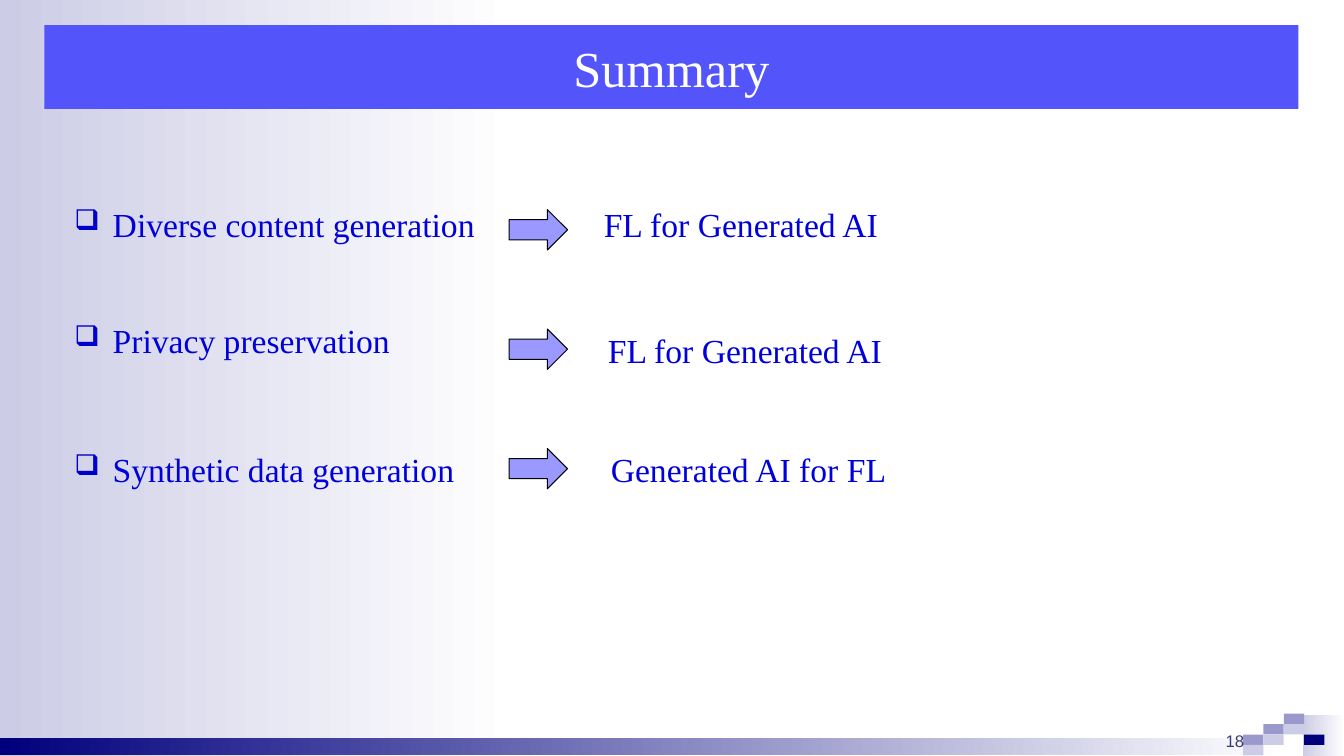
from lxml import etree
from pptx import Presentation
from pptx import util as u
from pptx.dml.color import RGBColor
from pptx.enum import shapes, text
from pptx.oxml.ns import qn

WHITE = RGBColor(0xFF, 0xFF, 0xFF)
BLACK = RGBColor(0, 0, 0)
NAVY = RGBColor(0, 0, 0x7D)
LIGHT = RGBColor(0xCC, 0xCC, 0xE6)
MID = RGBColor(0x99, 0x99, 0xCC)
TITLE = RGBColor(0x53, 0x54, 0xF9)
ARROW = RGBColor(0x99, 0x99, 0xFF)
BLUE = RGBColor(0, 0, 0xDA)
BULLET = RGBColor(0, 0, 0xCC)
NUMBER = RGBColor(0x3B, 0x3B, 0x77)
RECT = shapes.MSO_SHAPE.RECTANGLE
ALIGN = text.PP_ALIGN
ANCHOR = text.MSO_ANCHOR


class Deck:
    font = "Times New Roman"
    size = 24

    def __init__(self):
        self.prs = Presentation()
        self.prs.slide_width = u.Inches(13.33)
        self.prs.slide_height = u.Inches(7.5)
        self.s = self.prs.slides.add_slide(self.prs.slide_layouts[6])

    def box(self, x, y, w, h):
        pw, ph = self.prs.slide_width, self.prs.slide_height
        return [round(v * full / 100) for v, full in ((x, pw), (y, ph), (w, pw), (h, ph))]

    def shape(self, at, fill, kind=RECT, line=None):
        sp = self.s.shapes.add_shape(kind, *self.box(*at))
        sp.shadow.inherit = False
        sp.fill.solid()
        sp.fill.fore_color.rgb = fill
        if line is None:
            sp.line.fill.background()
        else:
            sp.line.color.rgb = line
            sp.line.width = u.Pt(0.75)
        return sp

    def fade(self, at, start):
        fill = self.shape(at, start).fill
        fill.gradient()
        fill.gradient_angle = 0
        for stop, color in zip(fill.gradient_stops, (start, WHITE)):
            stop.color.rgb = color

    def put_text(self, sp, words, color=BLUE, size=size, font=font,
                 align=ALIGN.LEFT, anchor=ANCHOR.TOP, bullet=False):
        tf = sp.text_frame
        tf.word_wrap = True
        tf.vertical_anchor = anchor
        p = tf.paragraphs[0]
        p.alignment = align
        if bullet:
            self.bullet(p)
        r = p.add_run()
        r.text = words
        r.font.name, r.font.size = font, u.Pt(size)
        r.font.color.rgb = color

    def bullet(self, p):
        ppr = p._p.get_or_add_pPr()
        indent = u.Inches(0.38)
        ppr.set("marL", str(indent))
        ppr.set("indent", str(-indent))
        color = etree.SubElement(ppr, qn("a:buClr"))
        etree.SubElement(color, qn("a:srgbClr"), val=str(BULLET))
        etree.SubElement(ppr, qn("a:buSzPct"), val="85000")
        etree.SubElement(ppr, qn("a:buChar"), char="❑")

    def label(self, at, words, **style):
        self.put_text(self.s.shapes.add_textbox(*self.box(*at)), words, **style)


def main():
    d = Deck()
    d.fade((0, 0, 38.33, 100), LIGHT)
    d.fade((96.92, 94.53, 3.15, 5.47), LIGHT)
    d.fade((0, 97.6, 95.5, 2.27), NAVY)

    tile_w, tile_h = 1.51, 1.38
    mosaic = [(2, 0, MID), (1, 1, MID), (2, 1, LIGHT), (0, 2, MID),
              (1, 2, LIGHT), (3, 2, NAVY), (0, 3, LIGHT)]
    for col, row, color in mosaic:
        d.shape((92.5 + col * tile_w, 94.4 + row * tile_h, tile_w, tile_h), color)

    title = d.shape((3.3, 3.33, 93.32, 11.07), TITLE)
    d.put_text(title, "Summary", color=WHITE, size=36, align=ALIGN.CENTER, anchor=ANCHOR.MIDDLE)
    d.label((69.99, 93.33, 23.33, 6.67), "18", color=NUMBER, size=12, font="Arial",
            align=ALIGN.RIGHT, anchor=ANCHOR.BOTTOM)

    rows = [("Diverse content generation", 26.27, "FL for Generated AI", 44.19, 26.27),
            ("Privacy preservation", 41.6, "FL for Generated AI", 44.49, 42.93),
            ("Synthetic data generation", 58.67, "Generated AI for FL", 44.71, 58.67)]
    for i, (goal, goal_y, answer, answer_x, answer_y) in enumerate(rows):
        d.label((4.8, goal_y, 33, 9.47), goal, bullet=True)
        d.shape((37.88, 27.73 + 15.8 * i, 4.35, 5.33), ARROW,
                shapes.MSO_SHAPE.RIGHT_ARROW, BLACK)
        d.label((answer_x, answer_y, 53.41, 9.47), answer)
    d.prs.save("out.pptx")


if __name__ == "__main__":
    main()
